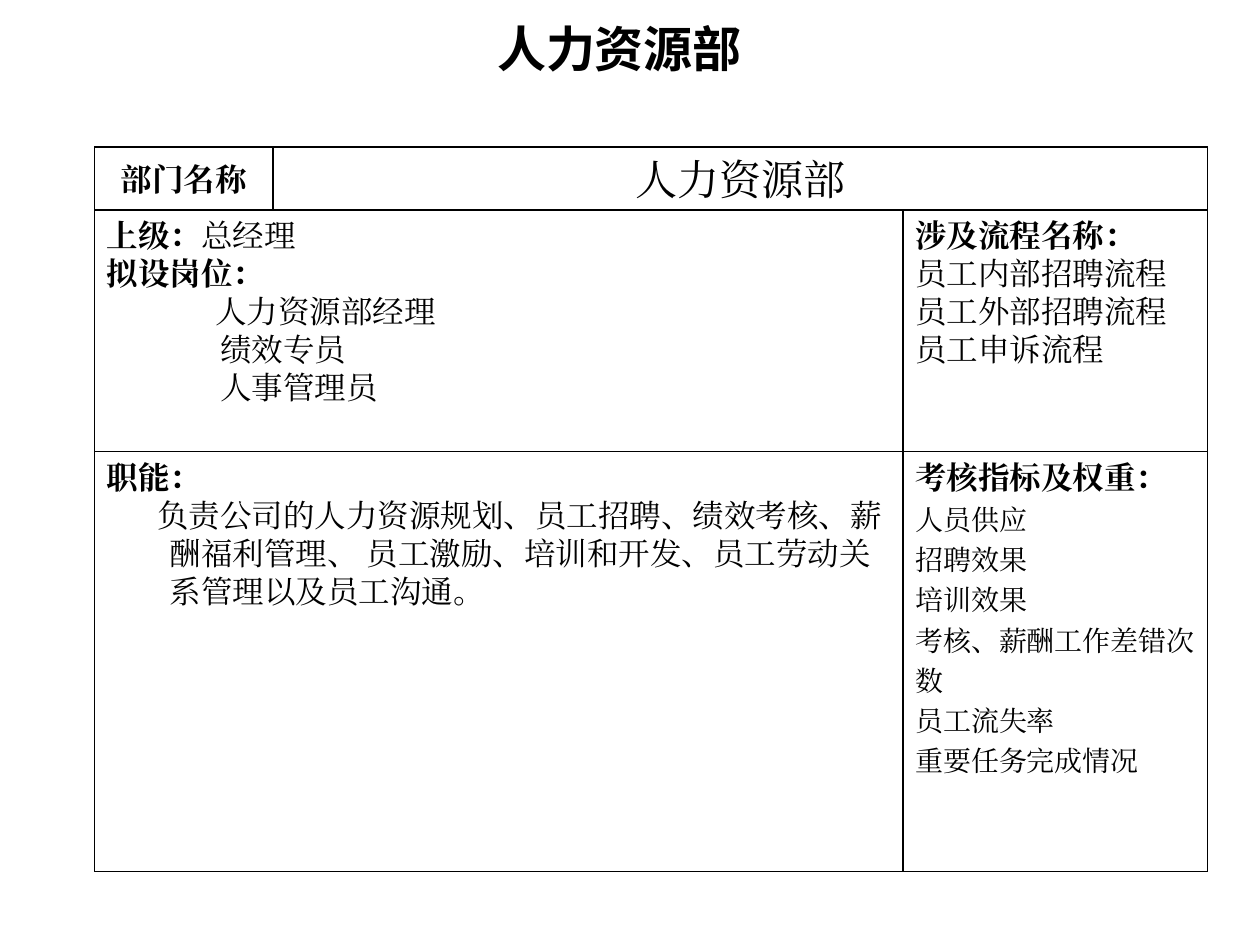
from lxml.etree import SubElement
from pptx import Presentation
from pptx.dml.color import RGBColor
from pptx.enum.lang import MSO_LANGUAGE_ID
from pptx.enum.shapes import MSO_SHAPE
from pptx.enum.text import MSO_ANCHOR, PP_ALIGN
from pptx.oxml.ns import qn
from pptx.util import Inches, Pt

BODY_FONT, TITLE_FONT = "Times New Roman", "Noto Sans CJK SC"
INK, PAPER = "000000", "FFFFFF"
UNIT = 1 / 12  # grid step in inches: 120 columns by 90 rows


def color(hex_value):
    return RGBColor.from_string(hex_value)


class DepartmentSlide:
    def __init__(self, deck):
        self.slide = deck.slides.add_slide(deck.slide_layouts[6])

    def place(self, left, top, right, bottom):
        return [Inches(n * UNIT) for n in (left, top, right - left, bottom - top)]

    def cell(self, *edges, wrap=True, anchor=MSO_ANCHOR.TOP):
        """Outlined rectangle between grid lines; returns its text frame."""
        box = self.slide.shapes.add_shape(MSO_SHAPE.RECTANGLE, *self.place(*edges))
        box.shadow.inherit = False
        box.fill.solid()
        box.fill.fore_color.rgb = color(PAPER)
        box.line.color.rgb = color(INK)
        box.line.width = Pt(0.75)
        box.text_frame.word_wrap = wrap
        box.text_frame.vertical_anchor = anchor
        return box.text_frame

    def title(self, text, *edges):
        frame = self.slide.shapes.add_textbox(*self.place(*edges)).text_frame
        frame.word_wrap = True
        frame.vertical_anchor = MSO_ANCHOR.MIDDLE
        self.line(frame, (text, True), size=28, font=TITLE_FONT, align=PP_ALIGN.CENTER)

    def line(self, frame, *runs, size=18, font=BODY_FONT, align=PP_ALIGN.LEFT,
             pitch=None, margin=0, indent=0):
        """Add one paragraph made of (text, bold) runs."""
        first = frame.paragraphs[0]
        paragraph = first if not first.runs else frame.add_paragraph()
        paragraph.alignment = align
        if pitch:
            paragraph.line_spacing = Pt(pitch)
        if margin:
            properties = paragraph._p.get_or_add_pPr()
            properties.set("marL", str(Inches(margin)))
            properties.set("indent", str(Inches(indent)))
        for text, bold in runs:
            run = paragraph.add_run()
            run.text = text
            run.font.size, run.font.bold, run.font.name = Pt(size), bold, font
            run.font.color.rgb = color(INK)
            run.font.language_id = MSO_LANGUAGE_ID.SIMPLIFIED_CHINESE
            SubElement(run.font._element, qn("a:ea")).set("typeface", font)

    def header(self, text, *edges, size, bold):
        frame = self.cell(*edges, wrap=False, anchor=MSO_ANCHOR.MIDDLE)
        self.line(frame, (text, bold), size=size, align=PP_ALIGN.CENTER)

    def listing(self, heading, items, *edges, size=18, pitch=21.7):
        frame = self.cell(*edges, wrap=False)
        self.line(frame, (heading, True), pitch=21.7)
        for item in items:
            self.line(frame, (item, False), size=size, pitch=pitch)


def main():
    deck = Presentation()
    deck.slide_width, deck.slide_height = Inches(10), Inches(7.5)
    page = DepartmentSlide(deck)

    # Grid lines of the form
    left, name_edge, side_edge, right = 9, 26, 86, 115
    top, header_edge, middle, bottom = 14, 20, 43, 83

    # Outer frame and header row
    page.cell(left, top, right, bottom)
    page.header("部门名称", left, top, name_edge, header_edge, size=18, bold=True)
    page.header("人力资源部", name_edge, top, right, header_edge, size=24, bold=False)

    # Duties
    duties = page.cell(left, middle, side_edge, bottom)
    page.line(duties, ("职能：", True), pitch=21.7)
    page.line(duties, ("负责公司的人力资源规划、员工招聘、绩效考核、薪酬福利管理、 "
                       "员工激励、培训和开发、员工劳动关系管理以及员工沟通。", False),
              pitch=21.7, margin=0.5, indent=-0.1)

    # Assessment measures
    page.listing("考核指标及权重：",
                 ["人员供应", "招聘效果", "培训效果", "考核、薪酬工作差错次", "数",
                  "员工流失率", "重要任务完成情况"],
                 side_edge, middle, right, bottom, size=16, pitch=23)

    page.title("人力资源部", 8, 1.2, 110, 8)

    # Superior and planned posts
    posts = page.cell(left, header_edge, side_edge, middle)
    page.line(posts, ("上级：", True), ("总经理", False), pitch=21.7)
    page.line(posts, ("拟设岗位：", True), pitch=21.7)
    for post, margin in (("人力资源部经理", 0.86), ("绩效专员", 0.9), ("人事管理员", 0.9)):
        page.line(posts, (post, False), pitch=21.7, margin=margin)

    # Related processes
    page.listing("涉及流程名称：", ["员工内部招聘流程", "员工外部招聘流程", "员工申诉流程"],
                 side_edge, header_edge, right, middle)

    deck.save("out.pptx")


if __name__ == "__main__":
    main()
